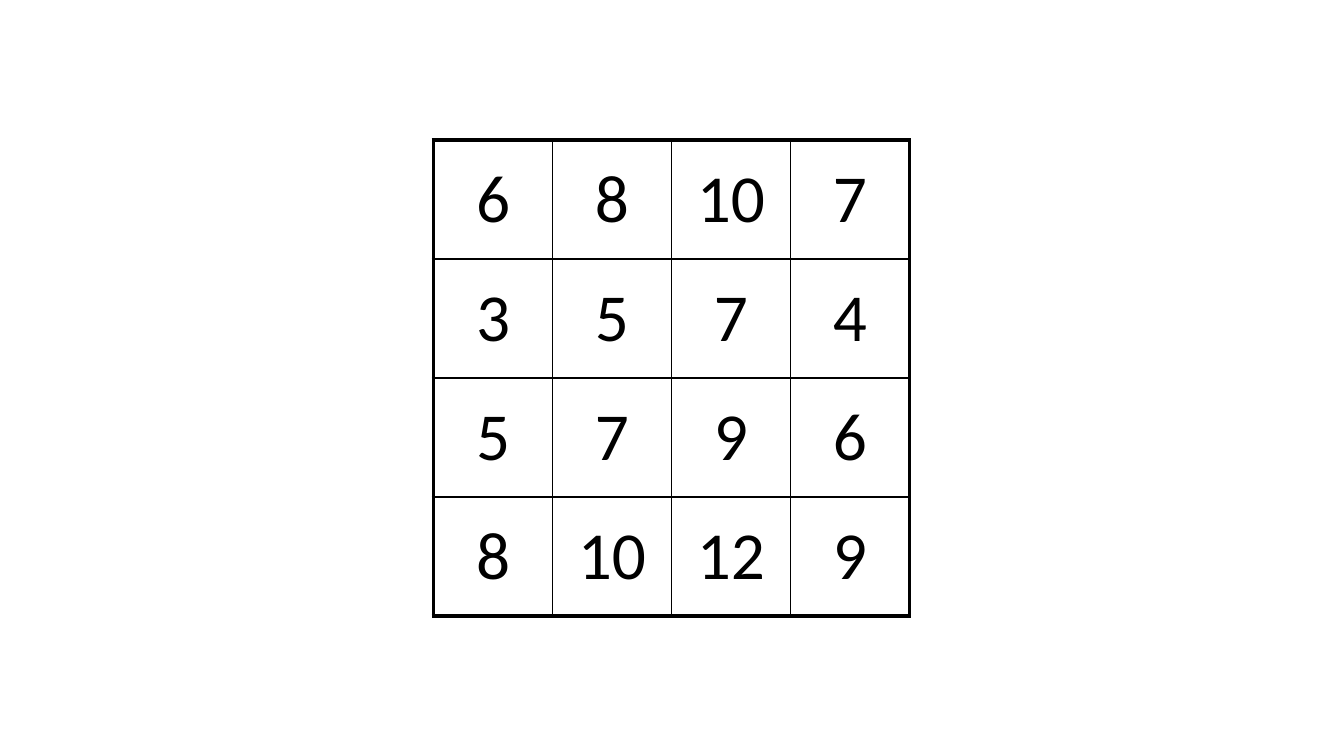
from dataclasses import dataclass

from lxml.etree import SubElement
from pptx import Presentation
from pptx.dml.color import RGBColor
from pptx.enum.text import MSO_ANCHOR, PP_ALIGN
from pptx.oxml.ns import qn
from pptx.util import Inches, Pt


@dataclass(frozen=True)
class Theme:
    ink: str = "000000"
    font: str = "Calibri"
    number_size: int = 48
    outer_line: int = 3
    inner_line: int = 1


THEME = Theme()
NUMBERS = [
    [6, 8, 10, 7],
    [3, 5, 7, 4],
    [5, 7, 9, 6],
    [8, 10, 12, 9],
]
COUNT = len(NUMBERS)
LAST = COUNT - 1
CELL_SIZE = 1.18


def write_text(cell, text, *, size, color, font, align=PP_ALIGN.CENTER):
    cell.vertical_anchor = MSO_ANCHOR.MIDDLE
    paragraph = cell.text_frame.paragraphs[0]
    paragraph.alignment = align
    run = paragraph.add_run()
    run.text = text
    run.font.size = Pt(size)
    run.font.name = font
    run.font.color.rgb = RGBColor.from_string(color)


def add_border(cell, side, width, color):
    properties = cell._tc.get_or_add_tcPr()
    line = SubElement(properties, qn(f"a:ln{side}"), w=str(Pt(width)))
    fill = SubElement(line, qn("a:solidFill"))
    SubElement(fill, qn("a:srgbClr"), val=color)


presentation = Presentation()
presentation.slide_width = Inches(13.33)
presentation.slide_height = Inches(7.5)
slide = presentation.slides.add_slide(presentation.slide_layouts[6])

side_length = Inches(CELL_SIZE * COUNT)
table = slide.shapes.add_table(
    COUNT, COUNT, Inches(4.3), Inches(1.39), side_length, side_length
).table
table.first_row = False
table.horz_banding = False
for column in table.columns:
    column.width = Inches(CELL_SIZE)
for row in table.rows:
    row.height = Inches(CELL_SIZE)

for row_index, row_numbers in enumerate(NUMBERS):
    for column_index, number in enumerate(row_numbers):
        cell = table.cell(row_index, column_index)
        write_text(cell, str(number), size=THEME.number_size,
                   color=THEME.ink, font=THEME.font)
        on_edge = {
            "L": column_index == 0,
            "R": column_index == LAST,
            "T": row_index == 0,
            "B": row_index == LAST,
        }
        for side, outer in on_edge.items():
            width = THEME.outer_line if outer else THEME.inner_line
            add_border(cell, side, width, THEME.ink)
        cell.fill.background()

presentation.save("out.pptx")
